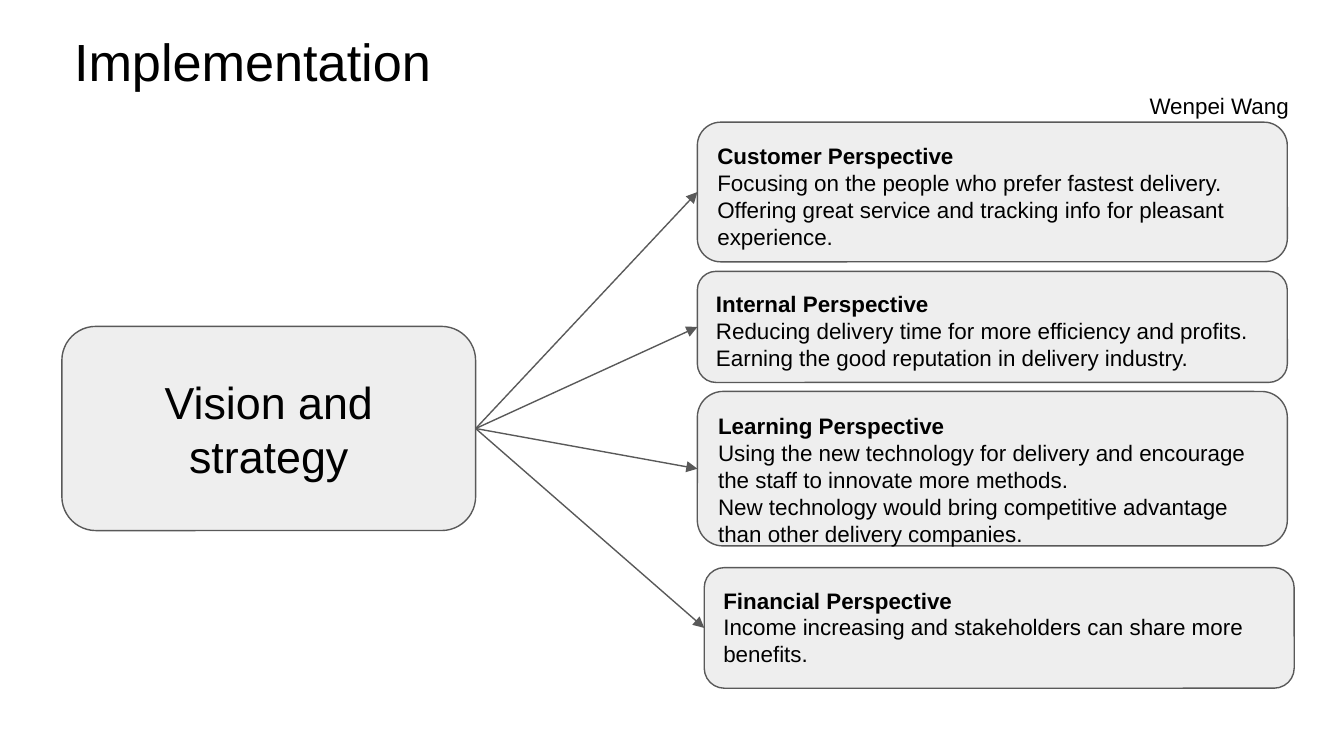
"""Build the Implementation slide: a vision box linked to four perspectives."""
from lxml import etree
from pptx import Presentation
from pptx.dml.color import RGBColor
from pptx.enum import shapes, text
from pptx.oxml import ns
from pptx.util import Cm, Pt

BLACK = RGBColor(0x00, 0x00, 0x00)
PALE = RGBColor(0xEE, 0xEE, 0xEE)
GREY = RGBColor(0x59, 0x59, 0x59)

PERSPECTIVES = [
    (13.18, 2.31, 2.64, ["Customer Perspective",
                         "Focusing on the people who prefer fastest delivery.",
                         "Offering great service and tracking info for pleasant experience."]),
    (13.18, 5.13, 2.1, ["Internal Perspective",
                        "Reducing delivery time for more efficiency and profits.",
                        "Earning the good reputation in delivery industry."]),
    (13.18, 7.4, 2.92, ["Learning Perspective",
                        "Using the new technology for delivery and encourage the staff to innovate more methods.",
                        "New technology would bring competitive advantage than other delivery companies."]),
    (13.31, 10.73, 2.28, ["Financial Perspective",
                          "Income increasing and stakeholders can share more benefits."]),
]


def write(sp, lines, sizes, align, anchor=text.MSO_ANCHOR.TOP):
    tf = sp.text_frame
    tf.word_wrap = True
    tf.vertical_anchor = anchor
    tf.margin_left = tf.margin_right = tf.margin_top = tf.margin_bottom = Cm(0.25)
    tf.text = "\n".join(lines)
    for p, size in zip(tf.paragraphs, sizes):
        p.alignment = align
        for r in p.runs:
            r.font.name = "Arial"
            r.font.size = Pt(size)
            r.font.color.rgb = BLACK
    return tf


def add_box(left, top, width, height):
    sp = s.shapes.add_shape(shapes.MSO_SHAPE.ROUNDED_RECTANGLE,
                            Cm(left), Cm(top), Cm(width), Cm(height))
    sp.shadow.inherit = False
    sp.fill.solid()
    sp.fill.fore_color.rgb = PALE
    sp.line.color.rgb = GREY
    sp.line.width = Pt(0.75)
    return sp


prs = Presentation()
prs.slide_width = Cm(25.4)
prs.slide_height = Cm(14.29)
s = prs.slides.add_slide(prs.slide_layouts[6])

title = s.shapes.add_textbox(Cm(0.33), Cm(0.3), Cm(24.28), Cm(2.54))
tf = write(title, ["Implementation", "Wenpei Wang"], [28, 12], text.PP_ALIGN.LEFT)
tf.paragraphs[0]._p.get_or_add_pPr().set("marL", str(Cm(0.82)))
tf.paragraphs[1].alignment = text.PP_ALIGN.RIGHT

vision = add_box(1.17, 6.17, 7.82, 3.86)
write(vision, ["Vision and strategy"], [24], text.PP_ALIGN.CENTER, text.MSO_ANCHOR.MIDDLE)

boxes = []
for left, top, height, lines in PERSPECTIVES:
    sp = add_box(left, top, 11.15, height)
    tf = write(sp, lines, [12] * len(lines), text.PP_ALIGN.LEFT)
    tf.paragraphs[0].runs[0].font.bold = True
    boxes.append(sp)

for sp in boxes:
    arrow = s.shapes.add_connector(shapes.MSO_CONNECTOR.STRAIGHT, 0, 0, 0, 0)
    arrow.begin_connect(vision, 3)
    arrow.end_connect(sp, 1)
    arrow.line.color.rgb = GREY
    arrow.line.width = Pt(0.75)
    ln = arrow.line._get_or_add_ln()
    etree.SubElement(ln, ns.qn("a:tailEnd"), type="triangle", w="med", len="med")
    etree.SubElement(arrow._element.spPr, ns.qn("a:effectLst"))

prs.save("out.pptx")
